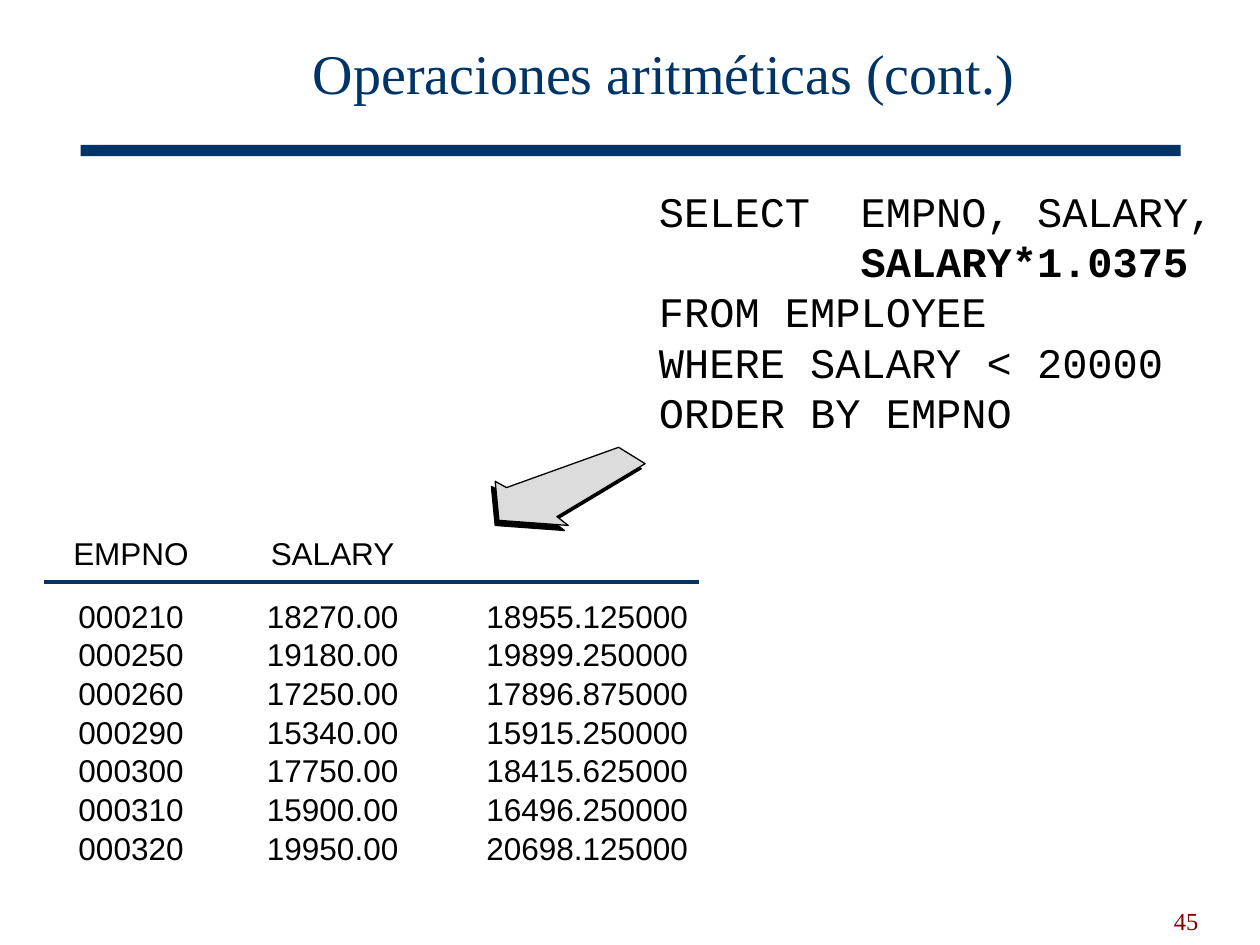
import pptx
import pptx.util
import pptx.dml.color
import pptx.enum.shapes
import pptx.enum.text
import pptx.oxml

Inches = pptx.util.Inches
Align = pptx.enum.text.PP_ALIGN
Anchor = pptx.enum.text.MSO_ANCHOR

THEME = {
    "navy": "003366", "black": "000000", "gray": "DCDCDC",
    "title": {"name": "Times New Roman", "size": 32, "color": "003366"},
    "code": {"name": "Courier New", "size": 24, "color": "000000"},
    "cell": {"name": "Arial", "size": 18, "color": "000000"},
    "page": {"name": "Times New Roman", "size": 14, "color": "800000"},
}

TITLE = "Operaciones aritméticas (cont.)"
PAGE = "45"
QUERY = [
    [("SELECT  EMPNO, SALARY,\v        ", False), ("SALARY*1.0375", True)],
    [("FROM EMPLOYEE", False)],
    [("WHERE SALARY < 20000", False)],
    [("ORDER BY EMPNO", False)],
]
ROWS = [
    ("EMPNO", "SALARY", ""),
    ("000210", "18270.00", "18955.125000"),
    ("000250", "19180.00", "19899.250000"),
    ("000260", "17250.00", "17896.875000"),
    ("000290", "15340.00", "15915.250000"),
    ("000300", "17750.00", "18415.625000"),
    ("000310", "15900.00", "16496.250000"),
    ("000320", "19950.00", "20698.125000"),
]
WIDTHS = [1.38, 1.82, 2.22]
HEAD, STEP = 0.5, 0.307
ARROW = [(5.12, 3.68), (4.91, 3.55), (4.02, 3.87), (3.93, 3.82),
         (3.96, 4.13), (4.51, 4.17), (4.42, 4.1)]
LAYERS = [(-0.03, 0.04, "black"), (0, 0, "gray")]


def rgb(code):
    return pptx.dml.color.RGBColor.from_string(code)


def put(item, **values):
    for key, value in values.items():
        setattr(item, key, value)


def box(left, top, width, height):
    return dict(zip(("left", "top", "width", "height"),
                    map(Inches, (left, top, width, height))))


def pad(size):
    sides = ("left", "top", "right", "bottom")
    return {"margin_" + side: Inches(size) for side in sides}


def write(para, parts, style, **form):
    put(para, **form)
    for text, bold in parts:
        lines = text.split("\v")
        for i, line in enumerate(lines):
            if i:
                para.add_line_break()
            run = para.add_run()
            run.text = line
            put(run.font, name=style["name"], bold=bold,
                size=pptx.util.Pt(style["size"]))
            run.font.color.rgb = rgb(style["color"])


def label(slide, place, paras, style, frame, **form):
    body = slide.shapes.add_textbox(**box(*place)).text_frame
    put(body, word_wrap=True, **frame)
    for i, parts in enumerate(paras):
        para = body.add_paragraph() if i else body.paragraphs[0]
        write(para, parts, style, **form)


def paint(shape, fill):
    shape.shadow.inherit = False
    shape.fill.solid()
    shape.fill.fore_color.rgb = rgb(fill)


def draw_arrow(slide):
    group = slide.shapes.add_group_shape()
    for dx, dy, tone in LAYERS:
        dots = [(Inches(x + dx), Inches(y + dy)) for x, y in ARROW]
        pen = group.shapes.build_freeform(*dots[0])
        pen.add_line_segments(dots[1:], close=True)
        shape = pen.convert_to_shape()
        paint(shape, THEME[tone])
        shape.line.color.rgb = rgb(THEME["black"])
        shape.line.width = pptx.util.Pt(0.75)


def draw_table(slide):
    place = box(0.35, 4.26, sum(WIDTHS), HEAD + STEP * (len(ROWS) - 1))
    grid = slide.shapes.add_table(len(ROWS), len(WIDTHS), **place).table
    put(grid, first_row=False, horz_banding=False)
    for col, width in zip(grid.columns, WIDTHS):
        col.width = Inches(width)
    for r, row in enumerate(ROWS):
        grid.rows[r].height = Inches(STEP if r else HEAD)
        for c, text in enumerate(row):
            cell = grid.cell(r, c)
            cell.fill.background()
            put(cell, vertical_anchor=Anchor.TOP, **pad(0))
            write(cell.text_frame.paragraphs[0], [(text, False)],
                  THEME["cell"], alignment=Align.CENTER)


def draw_rule(slide):
    ends = map(Inches, (0.35, 4.62, 5.55, 4.62))
    rule = slide.shapes.add_connector(
        pptx.enum.shapes.MSO_CONNECTOR.STRAIGHT, *ends)
    rule.line.color.rgb = rgb(THEME["navy"])
    rule.line.width = pptx.util.Pt(2.25)
    rule.element.spPr.append(pptx.oxml.parse_xml(
        '<a:effectLst xmlns:a='
        '"http://schemas.openxmlformats.org/drawingml/2006/main"/>'))


def main():
    deck = pptx.Presentation()
    put(deck, slide_width=Inches(10), slide_height=Inches(7.5))
    slide = deck.slides.add_slide(deck.slide_layouts[5])

    title = slide.shapes.title
    put(title, **box(1.23, 0.14, 8.08, 0.94))
    title.text_frame.vertical_anchor = Anchor.MIDDLE
    write(title.text_frame.paragraphs[0], [(TITLE, False)], THEME["title"],
          alignment=Align.CENTER, line_spacing=0.85)

    bar = slide.shapes.add_shape(pptx.enum.shapes.MSO_SHAPE.RECTANGLE,
                                 **box(0.64, 1.15, 8.73, 0.09))
    paint(bar, THEME["navy"])
    bar.line.fill.background()

    label(slide, (7.21, 6.97, 2.4, 0.5), [[(PAGE, False)]], THEME["page"],
          {"vertical_anchor": Anchor.BOTTOM}, alignment=Align.RIGHT)
    label(slide, (5.23, 1.47, 4.6, 2), QUERY, THEME["code"], pad(0))
    draw_arrow(slide)
    draw_table(slide)
    draw_rule(slide)
    deck.save("out.pptx")


if __name__ == "__main__":
    main()
